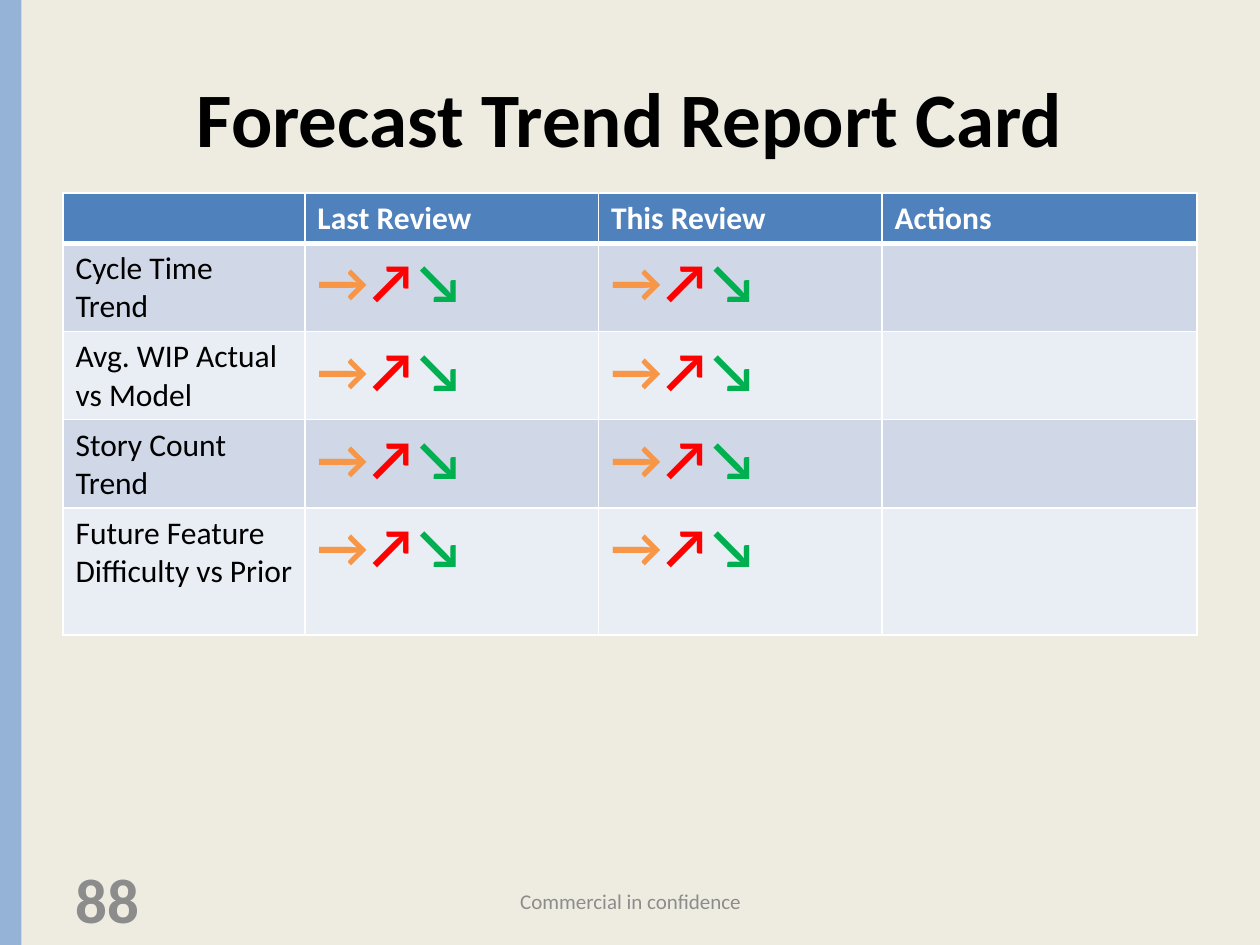
from lxml import etree
from pptx import Presentation
from pptx.dml.color import RGBColor
from pptx.enum.shapes import MSO_SHAPE
from pptx.enum.text import MSO_ANCHOR, PP_ALIGN
from pptx.oxml.ns import qn
from pptx.util import Inches, Pt

RECTANGLE = MSO_SHAPE.RECTANGLE
MIDDLE = MSO_ANCHOR.MIDDLE
LEFT, CENTER = PP_ALIGN.LEFT, PP_ALIGN.CENTER

TITLE = "Forecast Trend Report Card"
HEADERS = ["", "Last Review", "This Review", "Actions"]
MEASURES = [
    "Cycle Time Trend",
    "Avg. WIP Actual vs Model",
    "Story Count Trend",
    "Future Feature Difficulty vs Prior",
]
TREND_ARROWS = [("→", "steady"), ("↗", "rising"), ("↘", "falling")]
FOOTER = "Commercial in confidence"
PAGE_NUMBER = "88"

THEME = {
    "font": "Calibri",
    "colors": {
        "background": "EEECE1", "band": "95B3D7", "text": "000000",
        "muted": "8C8C8C", "white": "FFFFFF", "header": "4F81BD",
        "odd": "D0D8E8", "even": "E9EDF4",
        "steady": "F79646", "rising": "FF0000", "falling": "00B050",
    },
    "sizes": {"title": 44, "page": 36, "arrow": 32, "table": 18, "footer": 12},
}

SLIDE_WIDTH, SLIDE_HEIGHT = 10, 7.5
MARGIN = 0.05 * SLIDE_WIDTH
BAND_WIDTH = 0.17
TABLE_TOP = 1.53
COLUMN_WIDTHS = [1.92, 2.33, 2.25, 2.5]
ROW_HEIGHTS = [0.4, 0.7, 0.7, 0.7, 1.01]
TITLE_BOX = (MARGIN, 0.3, SLIDE_WIDTH - 2 * MARGIN, 1.25)
FOOTER_BOX = (3.42, 6.95, 3.17, 0.4)
PAGE_BOX = (MARGIN, 6.93, 2.33, 0.4)


def color(name):
    return RGBColor.from_string(THEME["colors"][name])


def paint(fill, name):
    fill.solid()
    fill.fore_color.rgb = color(name)


def add_run(paragraph, text, size, color_name, bold=False):
    run = paragraph.add_run()
    run.text = text
    formats = {"name": THEME["font"], "size": Pt(THEME["sizes"][size]), "bold": bold}
    for attribute, value in formats.items():
        setattr(run.font, attribute, value)
    run.font.color.rgb = color(color_name)


def write_box(shape, text, size, color_name, bold, alignment):
    frame = shape.text_frame
    frame.word_wrap = True
    frame.vertical_anchor = MIDDLE
    paragraph = frame.paragraphs[0]
    paragraph.alignment = alignment
    add_run(paragraph, text, size, color_name, bold)


def style_cell(cell, fill_name, bottom_width):
    properties = cell._tc.get_or_add_tcPr()
    for side, width in {"L": 1, "R": 1, "T": 1, "B": bottom_width}.items():
        line = etree.SubElement(properties, qn(f"a:ln{side}"), w=str(Pt(width)))
        solid = etree.SubElement(line, qn("a:solidFill"))
        etree.SubElement(solid, qn("a:srgbClr"), val=THEME["colors"]["white"])
    paint(cell.fill, fill_name)


def cell_runs(row, column):
    if row == 0:
        return [(HEADERS[column], "table", "white", True)] if HEADERS[column] else []
    if column == 0:
        return [(MEASURES[row - 1], "table", "text", False)]
    if column < len(HEADERS) - 1:
        return [(arrow, "arrow", trend, True) for arrow, trend in TREND_ARROWS]
    return []


def add_report_card(slide):
    table = slide.shapes.add_table(
        len(ROW_HEIGHTS), len(COLUMN_WIDTHS), Inches(MARGIN), Inches(TABLE_TOP),
        Inches(sum(COLUMN_WIDTHS)), Inches(sum(ROW_HEIGHTS)),
    ).table
    for column, width in zip(table.columns, COLUMN_WIDTHS):
        column.width = Inches(width)
    for row_index, height in enumerate(ROW_HEIGHTS):
        table.rows[row_index].height = Inches(height)
        fill_name = "header" if row_index == 0 else ("even", "odd")[row_index % 2]
        for column_index in range(len(COLUMN_WIDTHS)):
            cell = table.cell(row_index, column_index)
            style_cell(cell, fill_name, 3 if row_index == 0 else 1)
            if row_index == 1:
                cell._tc.tcPr.find(qn("a:lnT")).set("w", str(Pt(3)))
            for run in cell_runs(row_index, column_index):
                add_run(cell.text_frame.paragraphs[0], *run)


def main():
    presentation = Presentation()
    presentation.slide_width = Inches(SLIDE_WIDTH)
    presentation.slide_height = Inches(SLIDE_HEIGHT)
    slide = presentation.slides.add_slide(presentation.slide_layouts[5])
    paint(slide.background.fill, "background")

    band = slide.shapes.add_shape(RECTANGLE, 0, 0, Inches(BAND_WIDTH), Inches(SLIDE_HEIGHT))
    band.shadow.inherit = False
    paint(band.fill, "band")
    band.line.fill.background()

    title = slide.shapes.title
    for attribute, value in zip(("left", "top", "width", "height"), TITLE_BOX):
        setattr(title, attribute, Inches(value))
    write_box(title, TITLE, "title", "text", True, CENTER)

    for box, *content in [
        (FOOTER_BOX, FOOTER, "footer", "muted", False, CENTER),
        (PAGE_BOX, PAGE_NUMBER, "page", "muted", True, LEFT),
    ]:
        write_box(slide.shapes.add_textbox(*map(Inches, box)), *content)

    add_report_card(slide)
    presentation.save("out.pptx")


if __name__ == "__main__":
    main()
